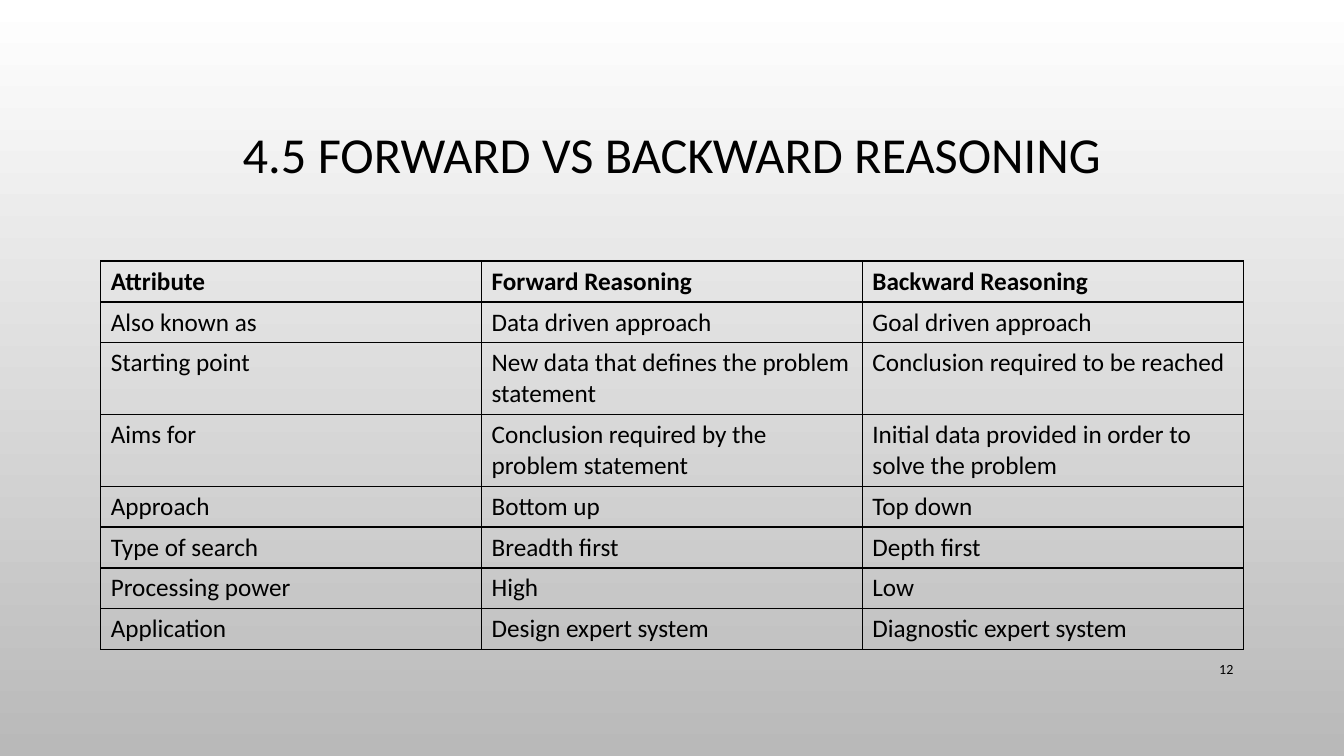
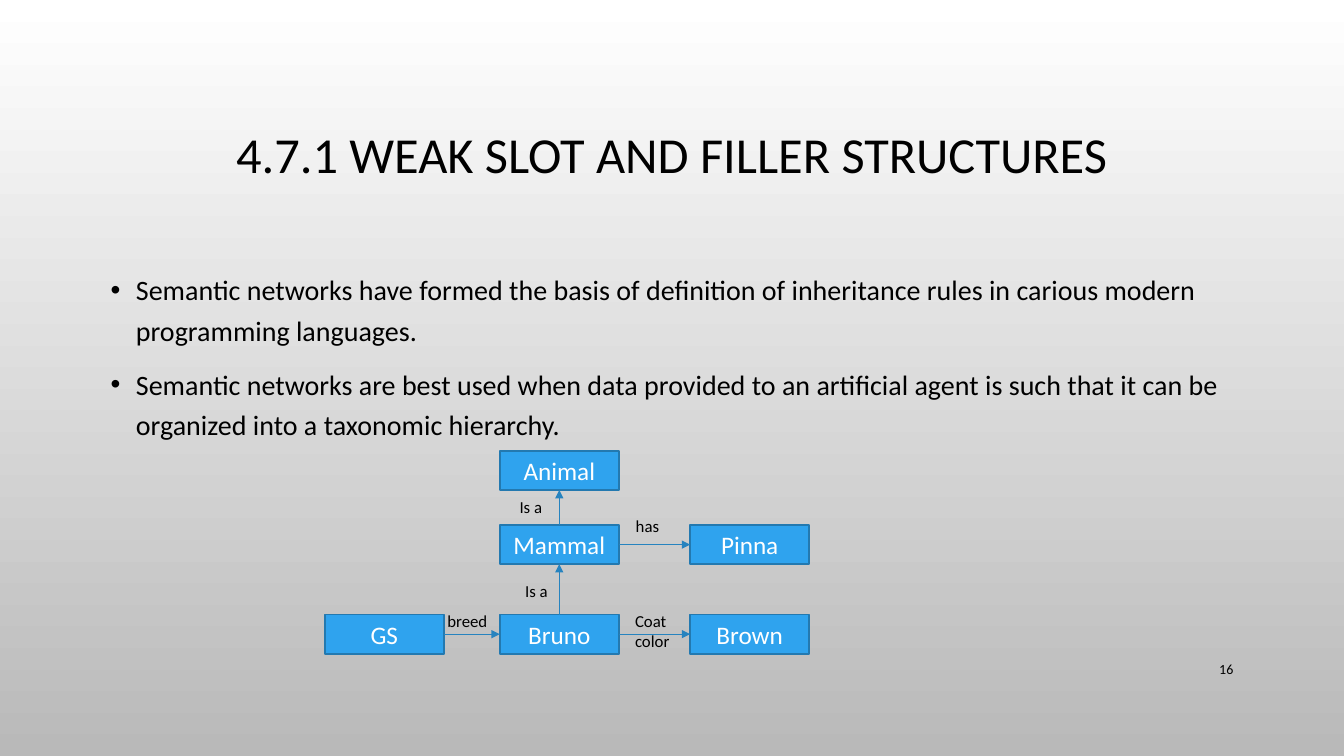
from dataclasses import dataclass
from lxml.etree import SubElement
from pptx import Presentation
from pptx.dml.color import RGBColor
from pptx.enum.shapes import MSO_CONNECTOR, MSO_SHAPE
from pptx.enum.text import MSO_ANCHOR, PP_ALIGN
from pptx.oxml.ns import qn
from pptx.util import Pt


@dataclass(frozen=True)
class Theme:
    font: str = "Calibri"
    ink: str = "000000"
    light: str = "FFFFFF"
    shade: str = "B9B9B9"
    box: str = "2FA3EE"
    edge: str = "2379B0"
    arrow: str = "2683BF"
    title: int = 36
    body: int = 20
    cell: int = 18
    label: int = 12
    page: int = 10


theme = Theme()


def write(frame, lines, size, color=theme.ink, bold=False, anchor=None, **layout):
    """Fill a text frame; layout holds paragraph format values."""
    frame.word_wrap = True
    if anchor is not None:
        frame.vertical_anchor = anchor
    frame.text = "\n".join(lines)
    style = {"name": theme.font, "size": Pt(size), "bold": bold}
    for para in frame.paragraphs:
        for key, value in layout.items():
            setattr(para, key, value)
        font = para.runs[0].font
        for key, value in style.items():
            setattr(font, key, value)
        font.color.rgb = RGBColor.from_string(color)


def add(parent, tag, **attrs):
    """Append a drawing element that has no public method."""
    return SubElement(parent, qn(tag), attrs)


deck = Presentation()
deck.slide_width, deck.slide_height = Pt(960), Pt(540)
left, top, width = 72, 186.5, 816

# Shared background
back = deck.slide_master.background.fill
back.gradient()
back.gradient_angle = 270
for stop, color, place in zip(back.gradient_stops, (theme.light, theme.shade), (0, 1)):
    stop.color.rgb = RGBColor.from_string(color)
    stop.position = place

# Titles and page numbers
pages = [
    ("4.5 FORWARD VS BACKWARD REASONING", "12"),
    ("4.7.1 WEAK SLOT AND FILLER STRUCTURES", "16"),
]
slides = []
for text, number in pages:
    slide = deck.slides.add_slide(deck.slide_layouts[5])
    title = slide.shapes.title
    spot = {"left": left, "top": 49, "width": width, "height": 126}
    for key, value in spot.items():
        setattr(title, key, Pt(value))
    write(title.text_frame, [text], theme.title, anchor=MSO_ANCHOR.MIDDLE,
          alignment=PP_ALIGN.CENTER, line_spacing=0.9)
    page = slide.shapes.add_textbox(Pt(828), Pt(463), Pt(60), Pt(29))
    write(page.text_frame, [number], theme.page, anchor=MSO_ANCHOR.MIDDLE,
          alignment=PP_ALIGN.RIGHT)
    slides.append(slide)
compare, network = slides

# Comparison table
rows = [
    ("Attribute", "Forward Reasoning", "Backward Reasoning"),
    ("Also known as", "Data driven approach", "Goal driven approach"),
    ("Starting point", "New data that defines the problem statement",
     "Conclusion required to be reached"),
    ("Aims for", "Conclusion required by the problem statement",
     "Initial data provided in order to solve the problem"),
    ("Approach", "Bottom up", "Top down"),
    ("Type of search", "Breadth first", "Depth first"),
    ("Processing power", "High", "Low"),
    ("Application", "Design expert system", "Diagnostic expert system"),
]
short, tall = 29.2, 51.2
heights = [tall if row[0] in ("Starting point", "Aims for") else short for row in rows]
table = compare.shapes.add_table(len(rows), 3, Pt(left), Pt(top), Pt(width),
                                 Pt(sum(heights))).table
table.first_row = table.horz_banding = False
for r, row in enumerate(rows):
    table.rows[r].height = Pt(heights[r])
    for c, text in enumerate(row):
        cell = table.cell(r, c)
        write(cell.text_frame, [text], theme.cell, bold=r == 0)
        props = cell._tc.get_or_add_tcPr()
        for side in "LRTB":
            line = add(props, f"a:ln{side}", w=str(Pt(1)))
            add(add(line, "a:solidFill"), "a:srgbClr", val=theme.ink)
        cell.fill.background()

# Bullets
body = network.shapes.add_textbox(Pt(left), Pt(top), Pt(width), Pt(269))
write(body.text_frame, [
    "Semantic networks have formed the basis of definition of inheritance rules "
    "in carious modern programming languages.",
    "Semantic networks are best used when data provided to an artificial agent "
    "is such that it can be organized into a taxonomic hierarchy.",
], theme.body, line_spacing=1.2, space_before=Pt(10))
for para in body.text_frame.paragraphs:
    props = para._p.get_or_add_pPr()
    props.set("marL", str(Pt(18)))
    props.set("indent", str(Pt(-18)))
    add(add(props, "a:buClr"), "a:srgbClr", val=theme.ink)
    add(props, "a:buFont", typeface="Arial")
    add(props, "a:buChar", char="•")

# Network nodes: name, column, row
cols, tiers = (232, 357, 493), (322, 375, 439)
nodes = {}
for name, c, r in [("Animal", 1, 0), ("Mammal", 1, 1), ("Pinna", 2, 1),
                   ("Bruno", 1, 2), ("GS", 0, 2), ("Brown", 2, 2)]:
    node = network.shapes.add_shape(MSO_SHAPE.RECTANGLE, Pt(cols[c]), Pt(tiers[r]),
                                    Pt(85), Pt(28))
    node.shadow.inherit = False
    node.fill.solid()
    node.fill.fore_color.rgb = RGBColor.from_string(theme.box)
    node.line.color.rgb = RGBColor.from_string(theme.edge)
    node.line.width = Pt(1.25)
    write(node.text_frame, [name], theme.cell, theme.light, anchor=MSO_ANCHOR.MIDDLE,
          alignment=PP_ALIGN.CENTER)
    nodes[name] = node

# Arrows with labels: ends, text, label left, top, width, height
up, right = (0, 2), (3, 1)
links = [
    ("Mammal", "Animal", up, "Is a", 364, 351.5, 35, 22),
    ("Bruno", "Mammal", up, "Is a", 368, 411, 35, 22),
    ("Mammal", "Pinna", right, "has", 447, 364.5, 35, 22),
    ("Bruno", "Brown", right, "Coat color", 446.5, 432.5, 60, 36),
    ("GS", "Bruno", right, "breed", 312.5, 432.5, 50, 22),
]
for start, end, sites, text, *area in links:
    arrow = network.shapes.add_connector(MSO_CONNECTOR.STRAIGHT, 0, 0, 0, 0)
    arrow.begin_connect(nodes[start], sites[0])
    arrow.end_connect(nodes[end], sites[1])
    arrow.line.color.rgb = RGBColor.from_string(theme.arrow)
    arrow.line.width = Pt(0.75)
    props = arrow.element.spPr
    add(props.find(qn("a:ln")), "a:tailEnd", type="triangle")
    add(props, "a:effectLst")
    label = network.shapes.add_textbox(*map(Pt, area))
    write(label.text_frame, [text], theme.label)

deck.save("out.pptx")
